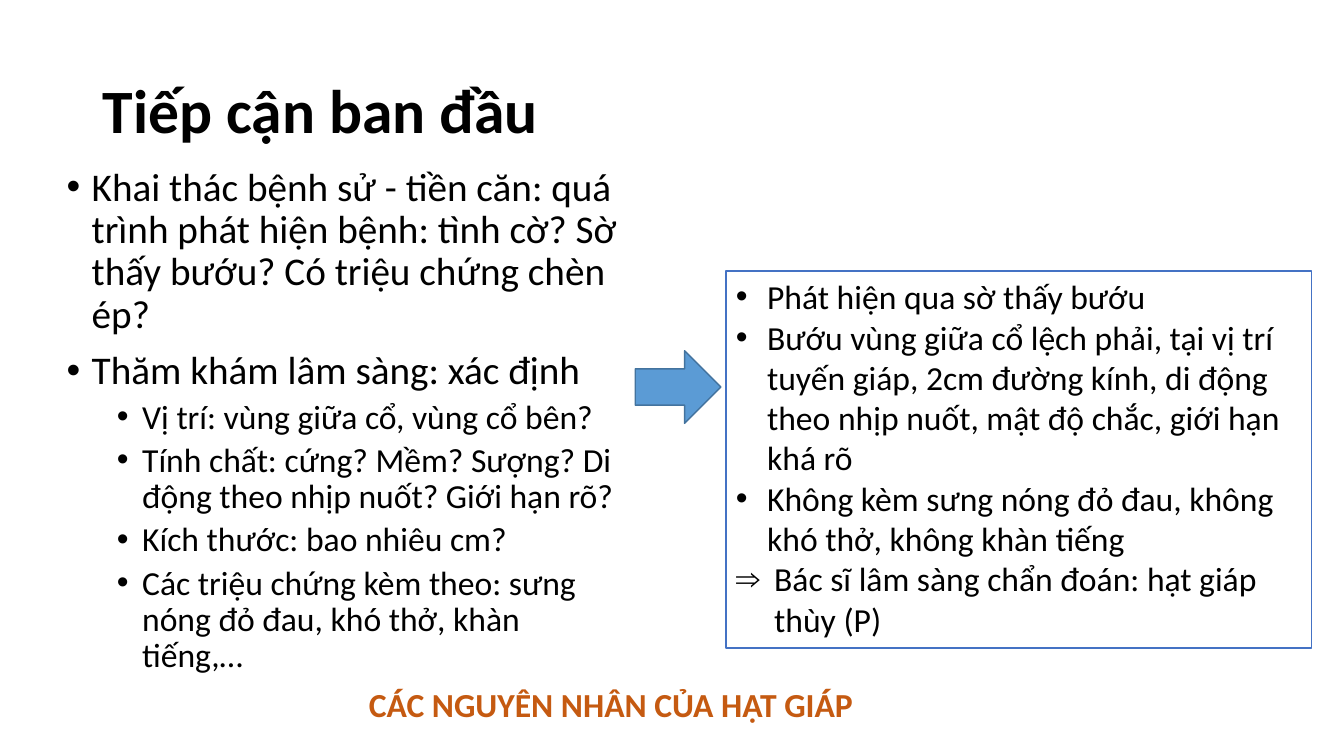
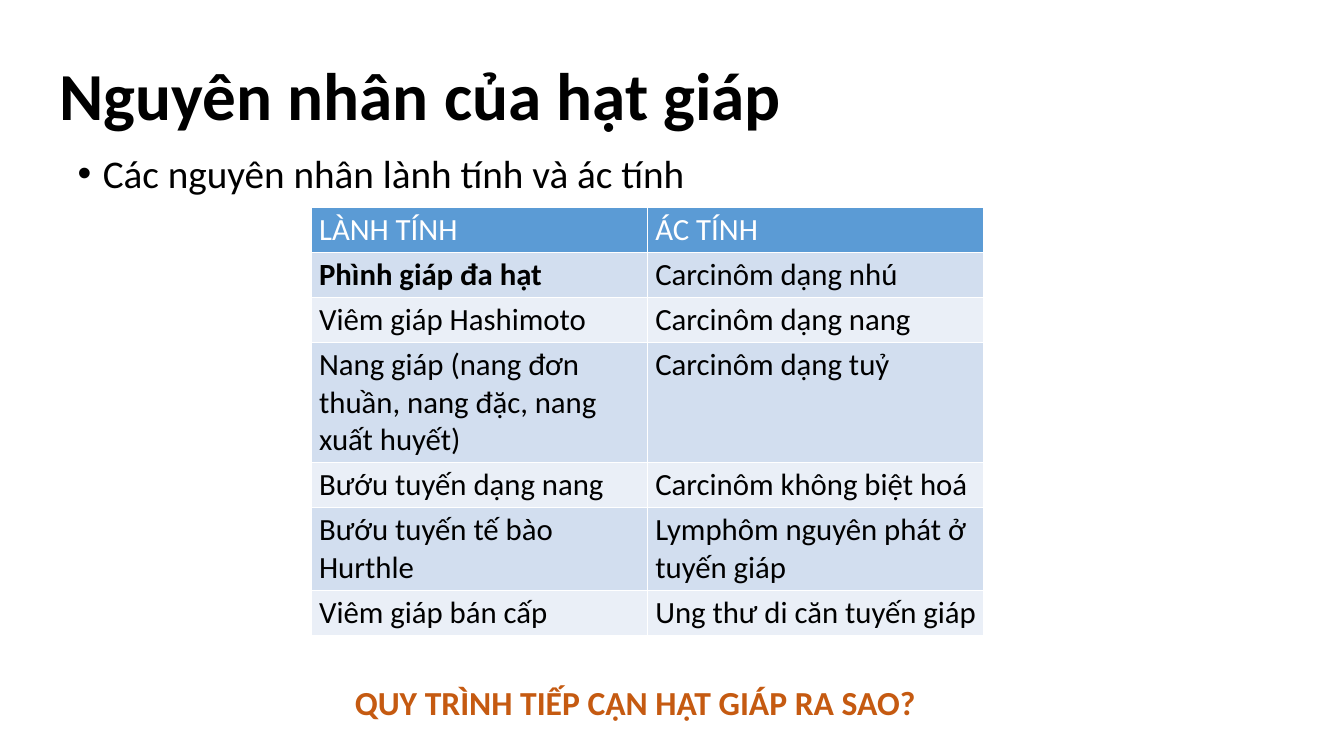
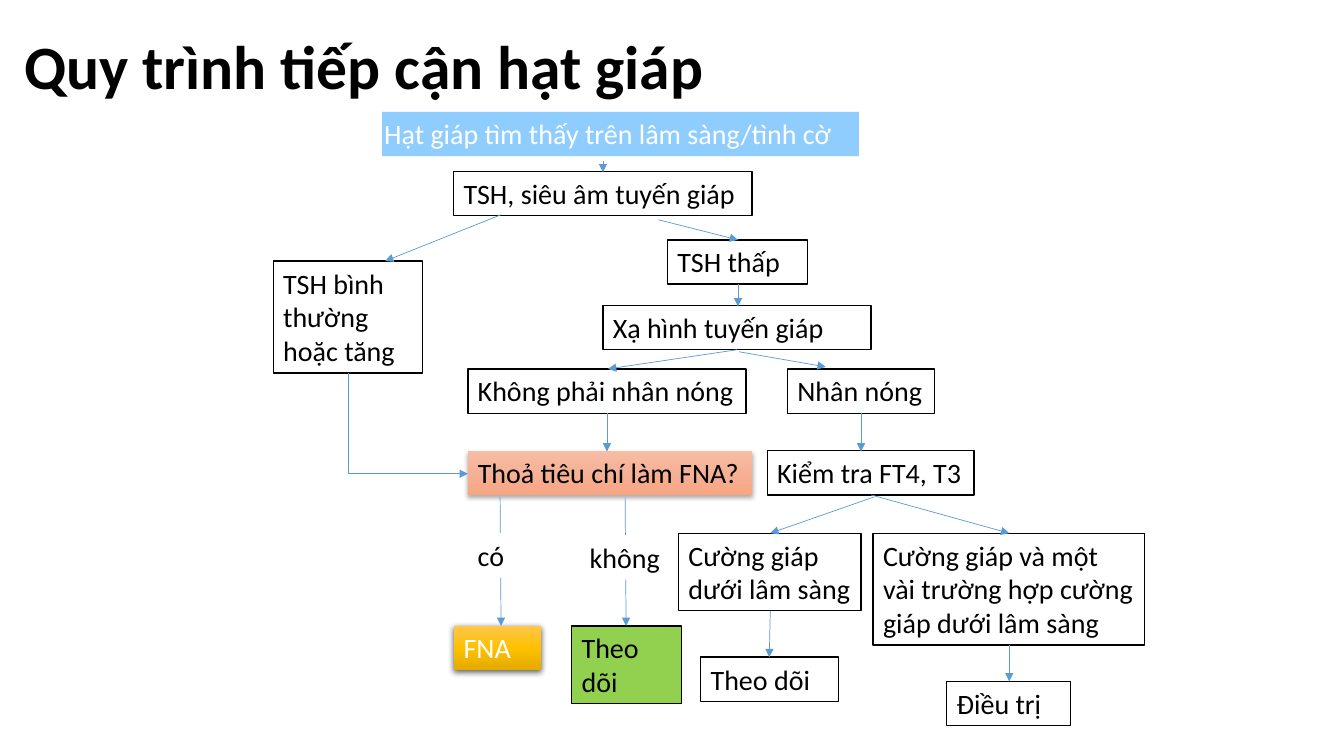
from dataclasses import dataclass
from typing import Optional

from lxml.etree import SubElement
from pptx import Presentation
from pptx.dml.color import RGBColor
from pptx.enum.shapes import MSO_CONNECTOR, MSO_SHAPE
from pptx.enum.text import MSO_ANCHOR, MSO_AUTO_SIZE, PP_ALIGN
from pptx.oxml.ns import qn
from pptx.util import Inches, Pt

FONT = "Calibri"
COLORS = {
    "text": "000000", "white": "FFFFFF", "accent": "5B9BD5", "accent_edge": "43739E",
    "note_edge": "4472C4", "caption": "C55A11", "start": "8FCDFF", "green": "92D050",
    "band_dark": "D2DEEF", "band_light": "EAEFF7",
}
GRADIENTS = {
    "peach": ("F7BDA5", "F5B196", "F8A582"),
    "gold": ("FFC64B", "FFC000", "E3AB00"),
}


@dataclass(frozen=True)
class Shade:
    alpha: int
    blur: float
    distance: float


SHADES = {"peach": Shade(32, 3.5, 2.2), "gold": Shade(63, 4.5, 1.5)}


@dataclass(frozen=True)
class Item:
    text: str
    size: int = 28
    level: int = 0
    margin: float = 0.25
    hanging: float = 0.25
    bullet: str = "•"
    before: int = 10
    spacing: float = 0.9


@dataclass(frozen=True)
class Step:
    text: str
    left: float
    top: float
    width: float
    height: float = 0.44
    fill: str = "white"
    edge: Optional[str] = "text"
    ink: str = "text"
    wrap: bool = True
    inset: float = 0.1


@dataclass(frozen=True)
class Arrow:
    x1: float
    y1: float
    x2: float
    y2: float


def rgb(name: str) -> RGBColor:
    return RGBColor.from_string(COLORS[name])


def place(shape, left: float, top: float, width: float, height: float) -> None:
    bounds = {"left": left, "top": top, "width": width, "height": height}
    for side, value in bounds.items():
        setattr(shape, side, Inches(value))


def prepare_frame(frame, wrap: bool = True, anchor=MSO_ANCHOR.TOP, inset: float = 0.1) -> None:
    settings = {
        "word_wrap": wrap, "auto_size": MSO_AUTO_SIZE.NONE, "vertical_anchor": anchor,
        "margin_left": Inches(inset), "margin_right": Inches(0.1),
        "margin_top": Inches(0.05), "margin_bottom": Inches(0.05),
    }
    for key, value in settings.items():
        setattr(frame, key, value)


def write(paragraph, text: str, size: int, ink: str = "text", bold: bool = False,
          align=PP_ALIGN.LEFT) -> None:
    paragraph.alignment = align
    run = paragraph.add_run()
    run.text = text
    for key, value in {"name": FONT, "size": Pt(size), "bold": bold}.items():
        setattr(run.font, key, value)
    run.font.color.rgb = rgb(ink)


def write_items(frame, items: list[Item]) -> None:
    for index, item in enumerate(items):
        paragraph = frame.add_paragraph() if index else frame.paragraphs[0]
        paragraph.level = item.level
        paragraph.line_spacing = item.spacing
        paragraph.space_before = Pt(item.before if index else 0)
        properties = paragraph._p.get_or_add_pPr()
        properties.set("marL", str(Inches(item.margin)))
        properties.set("indent", str(-Inches(item.hanging)))
        SubElement(properties, qn("a:buFont")).set("typeface", "Arial")
        SubElement(properties, qn("a:buChar")).set("char", item.bullet)
        write(paragraph, item.text, item.size)


def add_title(slide, text: str, size: int, bounds: tuple) -> None:
    title = slide.shapes.title
    place(title, *bounds)
    prepare_frame(title.text_frame, anchor=MSO_ANCHOR.MIDDLE)
    paragraph = title.text_frame.paragraphs[0]
    paragraph.line_spacing = 0.9
    write(paragraph, text, size, bold=True)


def add_body(slide, items: list[Item], bounds: tuple) -> None:
    body = slide.placeholders[1]
    place(body, *bounds)
    prepare_frame(body.text_frame)
    write_items(body.text_frame, items)


def paint(shape, fill: str, edge: Optional[str]) -> None:
    shape.shadow.inherit = False
    if fill in GRADIENTS:
        add_gradient(shape, fill)
    else:
        shape.fill.solid()
        shape.fill.fore_color.rgb = rgb(fill)
    if edge:
        shape.line.color.rgb = rgb(edge)
        shape.line.width = Pt(1)
    else:
        shape.line.fill.background()


def add_gradient(shape, name: str) -> None:
    # Vertical three-stop gradient
    shape.fill.gradient()
    shape.fill.gradient_angle = 270
    stops = shape._element.spPr.find(".//" + qn("a:gsLst"))
    for stop in list(stops):
        stops.remove(stop)
    for index, color in enumerate(GRADIENTS[name]):
        stop = SubElement(stops, qn("a:gs"), pos=str(index * 50000))
        SubElement(stop, qn("a:srgbClr"), val=color)
    # Soft shadow straight below
    shade = SHADES[name]
    effects = shape._element.spPr.find(qn("a:effectLst"))
    outer = SubElement(effects, qn("a:outerShdw"), blurRad=str(Pt(shade.blur)),
                       dist=str(Pt(shade.distance)), dir="5400000", algn="ctr", rotWithShape="0")
    color = SubElement(outer, qn("a:srgbClr"), val=COLORS["text"])
    SubElement(color, qn("a:alpha"), val=str(shade.alpha * 1000))


def add_panel(slide, kind, bounds: tuple, fill: str, edge: Optional[str]):
    panel = slide.shapes.add_shape(kind, *(Inches(value) for value in bounds))
    paint(panel, fill, edge)
    return panel


def write_caption(caption, text: str) -> None:
    prepare_frame(caption.text_frame)
    write(caption.text_frame.paragraphs[0], text, 24, "caption", True, PP_ALIGN.CENTER)


def add_step(slide, step: Step) -> None:
    bounds = (step.left, step.top, step.width, step.height)
    box = add_panel(slide, MSO_SHAPE.RECTANGLE, bounds, step.fill, step.edge)
    prepare_frame(box.text_frame, step.wrap, inset=step.inset)
    write(box.text_frame.paragraphs[0], step.text, 20, step.ink)


def add_arrow(slide, arrow: Arrow, kind=MSO_CONNECTOR.STRAIGHT):
    ends = (arrow.x1, arrow.y1, arrow.x2, arrow.y2)
    connector = slide.shapes.add_connector(kind, *(Inches(value) for value in ends))
    connector.line.color.rgb = rgb("accent")
    connector.line.width = Pt(0.5)
    SubElement(connector.line._get_or_add_ln(), qn("a:tailEnd"), type="triangle")
    SubElement(connector._element.spPr, qn("a:effectLst"))
    return connector


def add_corner_arrow(slide, arrow: Arrow) -> None:
    # Down, then right: a one-corner connector, mirrored and turned by 270 degrees
    center_x, center_y = (arrow.x1 + arrow.x2) / 2, (arrow.y1 + arrow.y2) / 2
    half_w, half_h = (arrow.y2 - arrow.y1) / 2, (arrow.x2 - arrow.x1) / 2
    turned = Arrow(center_x + half_w, center_y - half_h, center_x - half_w, center_y + half_h)
    properties = add_arrow(slide, turned, MSO_CONNECTOR.ELBOW)._element.spPr
    properties.find(qn("a:xfrm")).set("rot", str(270 * 60000))
    properties.find(qn("a:prstGeom")).set("prst", "bentConnector2")


def add_causes_table(slide, rows: list[tuple[str, str]]) -> None:
    heights = [0.3, 0.3, 0.3, 0.53, 0.3, 0.3, 0.3]
    table = slide.shapes.add_table(len(rows), 2, Inches(3.09), Inches(2.06), Inches(6.67),
                                   Inches(sum(heights))).table
    side_pad = 0.15 / 2
    margins = {"margin_left": side_pad, "margin_right": side_pad,
               "margin_top": side_pad / 2, "margin_bottom": side_pad / 2}
    for row_index, row in enumerate(rows):
        table.rows[row_index].height = Inches(heights[row_index])
        band = "accent" if row_index == 0 else "band_dark" if row_index % 2 else "band_light"
        for column, text in enumerate(row):
            cell = table.cell(row_index, column)
            for key, value in margins.items():
                setattr(cell, key, Inches(value))
            properties = cell._tc.get_or_add_tcPr()
            for side in ("lnL", "lnR", "lnT", "lnB"):
                border = SubElement(properties, qn("a:" + side), w=str(Pt(1)))
                solid = SubElement(border, qn("a:solidFill"))
                SubElement(solid, qn("a:srgbClr"), val=COLORS["white"])
            cell.fill.solid()
            cell.fill.fore_color.rgb = rgb(band)
            write(cell.text_frame.paragraphs[0], text, 22, "text" if row_index else "white",
                  bold=(row_index, column) == (1, 0))


def sub_item(text: str) -> Item:
    return Item(text, 24, 1, 0.75, before=5)


def finding(text: str, bullet: str = "•", indent: float = 0.31) -> Item:
    return Item(text, 24, 0, indent, indent, bullet, 0, 1.0)


APPROACH = [
    Item("Khai thác bệnh sử - tiền căn: quá trình phát hiện bệnh: tình cờ? "
         "Sờ thấy bướu? Có triệu chứng chèn ép?"),
    Item("Thăm khám lâm sàng: xác định"),
    sub_item("Vị trí: vùng giữa cổ, vùng cổ bên?"),
    sub_item("Tính chất: cứng? Mềm? Sượng? Di động theo nhịp nuốt? Giới hạn rõ?"),
    sub_item("Kích thước: bao nhiêu cm?"),
    sub_item("Các triệu chứng kèm theo: sưng nóng đỏ đau, khó thở, khàn tiếng,…"),
]
FINDINGS = [
    finding("Phát hiện qua sờ thấy bướu"),
    finding("Bướu vùng giữa cổ lệch phải, tại vị trí tuyến giáp, 2cm đường kính, "
            "di động theo nhịp nuốt, mật độ chắc, giới hạn khá rõ"),
    finding("Không kèm sưng nóng đỏ đau, không khó thở, không khàn tiếng"),
    finding("Bác sĩ lâm sàng chẩn đoán: hạt giáp thùy (P)", "⇒", 0.38),
]
CAUSES = [
    ("LÀNH TÍNH", "ÁC TÍNH"),
    ("Phình giáp đa hạt", "Carcinôm dạng nhú"),
    ("Viêm giáp Hashimoto", "Carcinôm dạng nang"),
    ("Nang giáp (nang đơn thuần, nang đặc, nang xuất huyết)", "Carcinôm dạng tuỷ"),
    ("Bướu tuyến dạng nang", "Carcinôm không biệt hoá"),
    ("Bướu tuyến tế bào Hurthle", "Lymphôm nguyên phát ở tuyến giáp"),
    ("Viêm giáp bán cấp", "Ung thư di căn tuyến giáp"),
]
STEPS = [
    Step("Hạt giáp tìm thấy trên lâm sàng/tình cờ", 3.79, 1.11, 4.73, fill="start", edge=None,
         ink="white", inset=0.02),
    Step("TSH, siêu âm tuyến giáp", 4.5, 1.7, 2.96),
    Step("TSH bình thường hoặc tăng", 2.71, 2.59, 1.48, 1.11),
    Step("TSH thấp", 6.62, 2.38, 1.39),
    Step("Xạ hình tuyến giáp", 5.98, 3.03, 2.66),
    Step("Không phải nhân nóng", 4.64, 3.66, 2.76, wrap=False),
    Step("Nhân nóng", 7.81, 3.66, 1.46, wrap=False),
    Step("Thoả tiêu chí làm FNA?", 4.64, 4.47, 2.82, fill="peach", edge=None, wrap=False),
    Step("Kiểm tra FT4, T3", 7.61, 4.47, 2.05, wrap=False),
    Step("FNA", 4.5, 6.21, 0.87, fill="gold", edge=None, ink="white"),
    Step("Theo dõi", 5.67, 6.21, 1.09, 0.77, fill="green"),
    Step("Cường giáp dưới lâm sàng", 6.73, 5.29, 1.81, 0.77),
    Step("Cường giáp và một vài trường hợp cường giáp dưới lâm sàng", 8.66, 5.29, 2.69, 1.11),
    Step("Theo dõi", 6.95, 6.52, 1.37),
    Step("Điều trị", 9.39, 6.76, 1.23),
]
ARROWS = [
    Arrow(5.98, 1.6, 5.98, 1.71), Arrow(4.97, 2.13, 3.82, 2.59), Arrow(6.53, 2.18, 7.32, 2.38),
    Arrow(7.32, 2.82, 7.32, 3.04), Arrow(7.31, 3.47, 6.03, 3.66), Arrow(7.33, 3.49, 8.19, 3.64),
    Arrow(6.02, 4.1, 6.02, 4.48), Arrow(8.54, 4.1, 8.54, 4.48), Arrow(4.96, 4.93, 4.97, 6.21),
    Arrow(6.2, 4.93, 6.21, 6.21), Arrow(8.67, 4.93, 7.64, 5.29), Arrow(8.64, 4.91, 10.01, 5.29),
    Arrow(7.64, 6.06, 7.63, 6.52), Arrow(10.01, 6.4, 10.01, 6.76),
]
ANSWERS = [
    Step("có", 4.64, 5.29, 0.47, edge=None, wrap=False),
    Step("không", 5.75, 5.31, 0.9, edge=None, wrap=False),
]


def main() -> None:
    deck = Presentation()
    deck.slide_width, deck.slide_height = Inches(13.33), Inches(7.5)
    content, title_only = deck.slide_layouts[1], deck.slide_layouts[5]

    # First approach to the patient
    approach = deck.slides.add_slide(content)
    add_title(approach, "Tiếp cận ban đầu", 44, (0.92, 0.4, 11.5, 1.45))
    add_body(approach, APPROACH, (0.56, 1.61, 5.75, 5.67))
    findings = add_panel(approach, MSO_SHAPE.RECTANGLE, (7.2, 2.69, 5.81, 3.74),
                         "white", "note_edge")
    prepare_frame(findings.text_frame)
    write_items(findings.text_frame, FINDINGS)
    add_panel(approach, MSO_SHAPE.RIGHT_ARROW, (6.3, 3.48, 0.85, 0.72), "accent", "accent_edge")
    next_topic = approach.shapes.add_textbox(Inches(0.36), Inches(6.74), Inches(11.4), Inches(0.5))
    write_caption(next_topic, "CÁC NGUYÊN NHÂN CỦA HẠT GIÁP")

    # Causes
    causes = deck.slides.add_slide(content)
    add_title(causes, "Nguyên nhân của hạt giáp", 48, (0.49, 0.25, 11.5, 1.45))
    add_body(causes, [Item("Các nguyên nhân lành tính và ác tính")], (0.67, 1.48, 11.5, 4.76))
    add_causes_table(causes, CAUSES)
    question = add_panel(causes, MSO_SHAPE.RECTANGLE, (0.6, 6.72, 11.4, 0.5), "white", None)
    write_caption(question, "QUY TRÌNH TIẾP CẬN HẠT GIÁP RA SAO?")

    # Decision flow
    flow = deck.slides.add_slide(title_only)
    add_title(flow, "Quy trình tiếp cận hạt giáp", 44, (0.14, 0.14, 9.67, 1.09))
    for step in STEPS:
        add_step(flow, step)
    for arrow in ARROWS:
        add_arrow(flow, arrow)
    add_corner_arrow(flow, Arrow(3.45, 3.7, 4.64, 4.7))
    for answer in ANSWERS:
        add_step(flow, answer)

    deck.save("out.pptx")


if __name__ == "__main__":
    main()
